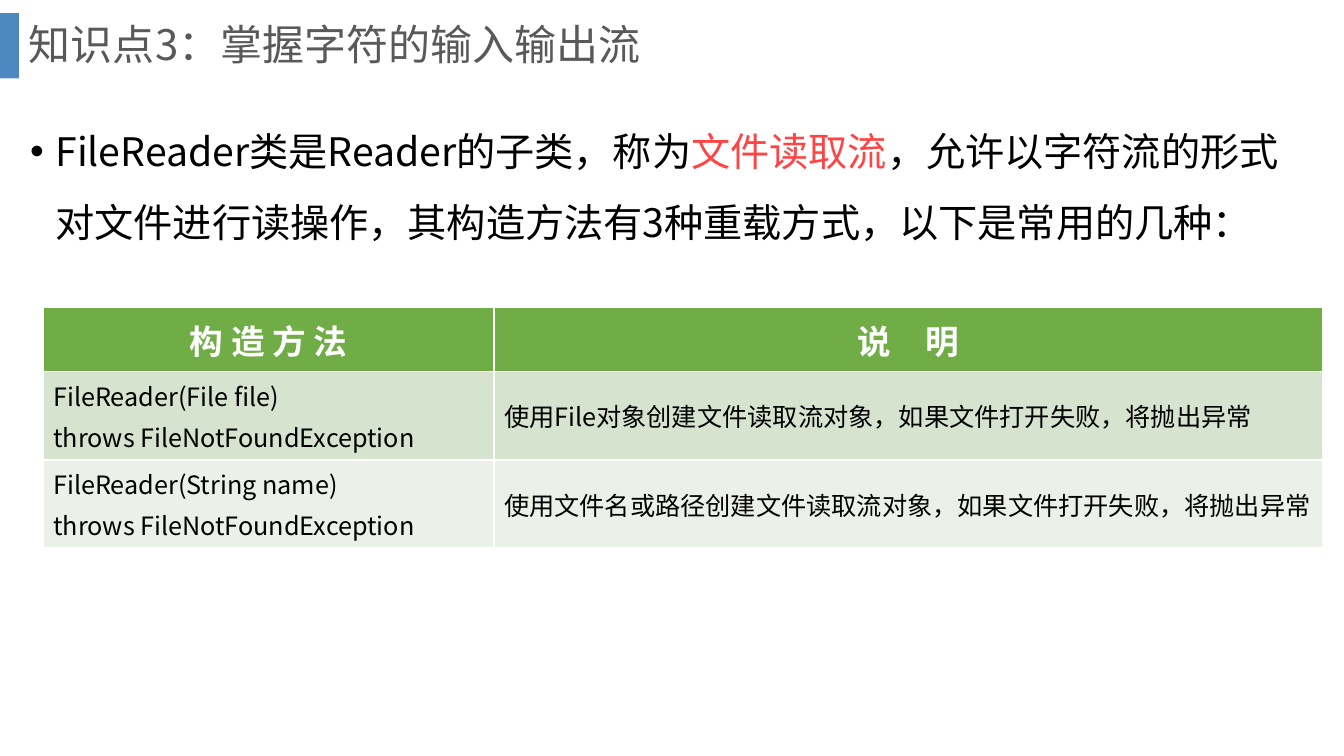
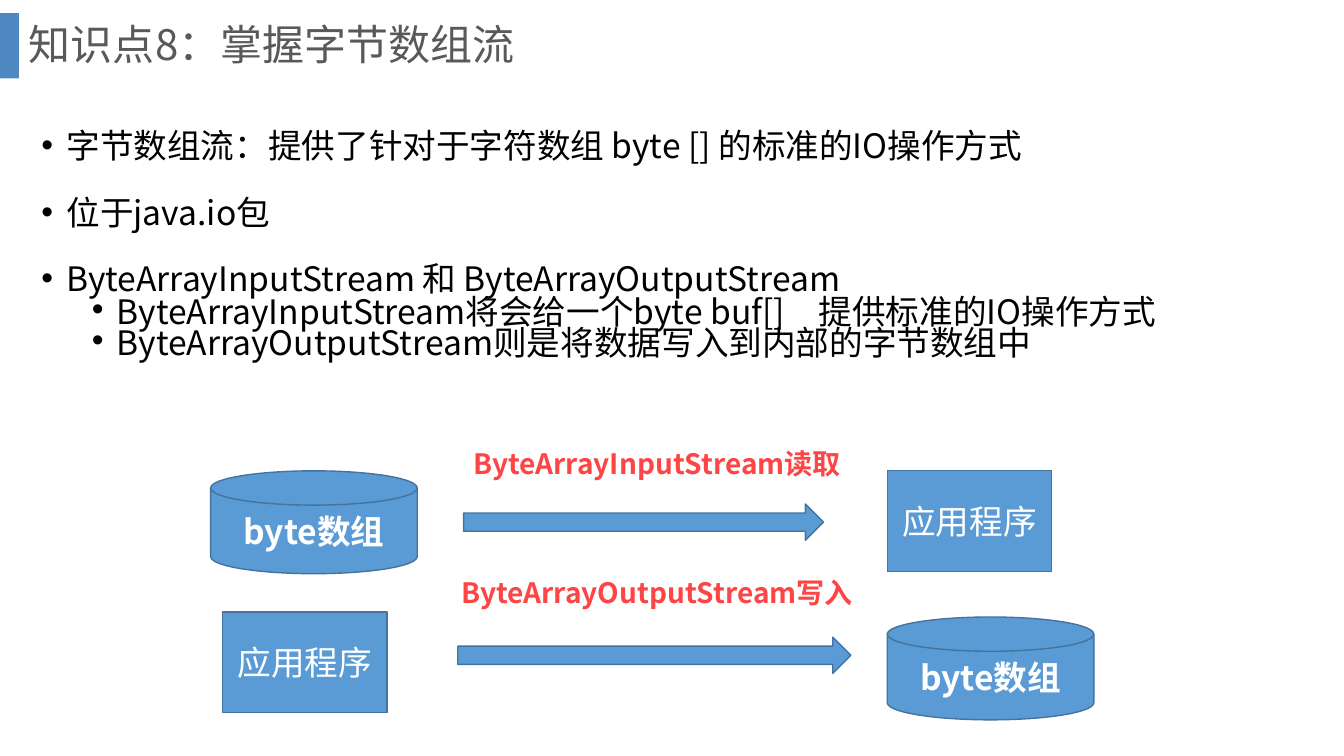
from dataclasses import dataclass

from lxml import etree
from pptx import Presentation
from pptx import util as u
from pptx.dml import color
from pptx.enum import shapes, text
from pptx.oxml import ns

COLUMNS, ROWS = 64, 36


@dataclass(frozen=True)
class Theme:
    font: str = "Noto Sans CJK SC"
    plain_font: str = "Calibri"
    band: str = "2E75B6"
    band_opacity: int = 85
    title: str = "595959"
    ink: str = "000000"
    white: str = "FFFFFF"
    accent: str = "FE4444"
    block: str = "5B9BD5"
    outline: str = "43739E"
    header: str = "70AD47"
    stripes: tuple = ("D5E3CF", "EBF1E9")
    title_size: int = 30
    lead_size: int = 28
    body_size: int = 24
    label_size: int = 20
    cell_size: int = 18


THEME = Theme()


def rgb(value):
    return color.RGBColor.from_string(value)


class Deck:
    def __init__(self, theme):
        self.theme = theme
        self.presentation = Presentation()
        self.presentation.slide_width = u.Inches(13.33)
        self.presentation.slide_height = u.Inches(7.5)
        self.slide = None

    def across(self, columns):
        return u.Emu(round(self.presentation.slide_width * columns / COLUMNS))

    def down(self, rows):
        return u.Emu(round(self.presentation.slide_height * rows / ROWS))

    def box(self, left, top, width, height):
        return self.across(left), self.down(top), self.across(width), self.down(height)

    def place(self, shape, area):
        shape.left, shape.top, shape.width, shape.height = self.box(*area)

    def run(self, paragraph, words, size, ink, bold=False, font=None):
        run = paragraph.add_run()
        run.text = words
        run.font.size = u.Pt(size)
        run.font.bold = bold
        run.font.color.rgb = rgb(ink)
        run.font.name = font or self.theme.font
        east_asian = etree.SubElement(run.font._element, ns.qn("a:ea"))
        east_asian.set("typeface", self.theme.font)

    def new_slide(self, title):
        layout = self.presentation.slide_layouts[1]
        self.slide = self.presentation.slides.add_slide(layout)
        band = self.block(shapes.MSO_SHAPE.RECTANGLE, (0, 0.62, 0.9, 3.12), self.theme.band, None)
        fill_color = band.fill._xPr.find(".//" + ns.qn("a:srgbClr"))
        alpha = etree.SubElement(fill_color, ns.qn("a:alpha"))
        alpha.set("val", str(self.theme.band_opacity * 1000))
        holder = self.slide.shapes.title
        self.place(holder, (0.9, 0, 60.78, 4.46))
        frame = holder.text_frame
        frame.auto_size = text.MSO_AUTO_SIZE.NONE
        frame.vertical_anchor = text.MSO_ANCHOR.MIDDLE
        paragraph = frame.paragraphs[0]
        paragraph.alignment = text.PP_ALIGN.LEFT
        paragraph.line_spacing = 0.9
        self.run(paragraph, title, self.theme.title_size, self.theme.title)

    def bullets(self, area, items, size, spacing):
        holder = self.slide.placeholders[1]
        self.place(holder, area)
        frame = holder.text_frame
        frame.word_wrap = True
        frame.auto_size = text.MSO_AUTO_SIZE.NONE
        frame.vertical_anchor = text.MSO_ANCHOR.TOP
        for index, (level, runs) in enumerate(items):
            paragraph = frame.paragraphs[0] if index == 0 else frame.add_paragraph()
            paragraph.level = level
            properties = paragraph._p.get_or_add_pPr()
            properties.set("marL", str(u.Inches(0.25 + 0.5 * level)))
            properties.set("indent", str(u.Inches(-0.25)))
            etree.SubElement(properties, ns.qn("a:buFont")).set("typeface", "Arial")
            etree.SubElement(properties, ns.qn("a:buChar")).set("char", "•")
            paragraph.alignment = text.PP_ALIGN.LEFT
            paragraph.line_spacing = 0.6 if level else spacing
            paragraph.space_before = u.Pt((5 if level else 10) if index else 0)
            for words, ink in runs:
                self.run(paragraph, words, size, ink)

    def table(self, left, top, widths, heights, rows):
        area = self.box(left, top, sum(widths), sum(heights))
        table = self.slide.shapes.add_table(len(rows), len(widths), *area).table
        table.horz_banding = False
        for column, width in zip(table.columns, widths):
            column.width = self.across(width)
        for row, height in zip(table.rows, heights):
            row.height = self.down(height)
        for row_index, row in enumerate(rows):
            for column_index, lines in enumerate(row):
                self.cell(table.cell(row_index, column_index), lines, row_index)

    def cell(self, cell, lines, row_index):
        theme = self.theme
        heading = row_index == 0
        cell.fill.solid()
        cell.fill.fore_color.rgb = rgb(theme.header if heading else theme.stripes[(row_index - 1) % 2])
        cell.vertical_anchor = text.MSO_ANCHOR.MIDDLE
        for index, line in enumerate(lines):
            paragraph = cell.text_frame.paragraphs[0] if index == 0 else cell.text_frame.add_paragraph()
            paragraph.alignment = text.PP_ALIGN.CENTER if heading else text.PP_ALIGN.LEFT
            if index:
                properties = paragraph._p.get_or_add_pPr()
                before = etree.SubElement(properties, ns.qn("a:spcBef"))
                etree.SubElement(before, ns.qn("a:spcPct")).set("val", "20000")
            size = theme.body_size if heading else theme.cell_size
            self.run(paragraph, line, size, theme.white if heading else theme.ink, heading)

    def block(self, kind, area, fill, outline):
        shape = self.slide.shapes.add_shape(kind, *self.box(*area))
        shape.shadow.inherit = False
        if fill:
            shape.fill.solid()
            shape.fill.fore_color.rgb = rgb(fill)
        else:
            shape.fill.background()
        if outline:
            shape.line.color.rgb = rgb(outline)
            shape.line.width = u.Pt(1)
        else:
            shape.line.fill.background()
        return shape

    def label(self, shape, words, size, ink, bold=True, font=None):
        frame = shape.text_frame
        frame.word_wrap = True
        frame.vertical_anchor = text.MSO_ANCHOR.MIDDLE
        paragraph = frame.paragraphs[0]
        paragraph.alignment = text.PP_ALIGN.CENTER
        self.run(paragraph, words, size, ink, bold, font)

    def solid_block(self, kind, area):
        return self.block(kind, area, self.theme.block, self.theme.outline)

    def byte_array(self, left, top):
        disk = self.solid_block(shapes.MSO_SHAPE.FLOWCHART_MAGNETIC_DISK, (left, top, 9.84, 4.9))
        self.label(disk, "byte数组", self.theme.body_size, self.theme.white)

    def application(self, left, top):
        square = self.solid_block(shapes.MSO_SHAPE.RECTANGLE, (left, top, 7.83, 4.8))
        self.label(square, "应用程序", self.theme.body_size, self.theme.white, False, self.theme.plain_font)

    def arrow(self, left, top, width):
        self.solid_block(shapes.MSO_SHAPE.RIGHT_ARROW, (left, top, width, 1.73))

    def caption(self, top, words):
        area = (21.41, top, 19.78, 3.22)
        callout = self.block(shapes.MSO_SHAPE.RECTANGULAR_CALLOUT, area, None, None)
        self.label(callout, words, self.theme.label_size, self.theme.accent)


def reader_slide(deck):
    theme = deck.theme
    deck.new_slide("知识点3：掌握字符的输入输出流")
    lead = [
        ("FileReader类是Reader的子类，称为", theme.ink),
        ("文件读取流", theme.accent),
        ("，允许以字符流的形式对文件进行读操作，其构造方法有3种重载方式，以下是常用的几种：", theme.ink),
    ]
    deck.bullets((0.96, 4.7, 61.94, 28.6), [(0, lead)], theme.lead_size, 1.5)
    throws = "throws FileNotFoundException"
    deck.table(2.06, 14.64, (21.46, 39.47), (3.07, 4.13, 4.13), [
        (["构 造 方 法"], ["说　明"]),
        (["FileReader(File file)", throws],
         ["使用File对象创建文件读取流对象，如果文件打开失败，将抛出异常"]),
        (["FileReader(String name)", throws],
         ["使用文件名或路径创建文件读取流对象，如果文件打开失败，将抛出异常"]),
    ])


def byte_array_slide(deck):
    theme = deck.theme
    deck.new_slide("知识点8：掌握字节数组流")
    points = [
        (0, "字节数组流：提供了针对于字符数组 byte [] 的标准的IO操作方式"),
        (0, "位于java.io包"),
        (0, "ByteArrayInputStream 和 ByteArrayOutputStream"),
        (1, "ByteArrayInputStream将会给一个byte buf[]　提供标准的IO操作方式"),
        (1, "ByteArrayOutputStream则是将数据写入到内部的字节数组中"),
    ]
    items = [(level, [(words, theme.ink)]) for level, words in points]
    deck.bullets((1.49, 5.14, 61.94, 30.86), items, theme.body_size, 1.3)
    deck.byte_array(10.03, 22.42)
    deck.application(42.25, 22.42)
    deck.arrow(22.08, 24, 17.14)
    deck.caption(20.45, "ByteArrayInputStream读取")
    deck.application(10.61, 29.14)
    deck.byte_array(42.25, 29.38)
    deck.arrow(21.8, 30.34, 18.72)
    deck.caption(26.59, "ByteArrayOutputStream写入")


def main():
    deck = Deck(THEME)
    reader_slide(deck)
    byte_array_slide(deck)
    deck.presentation.save("out.pptx")


if __name__ == "__main__":
    main()
